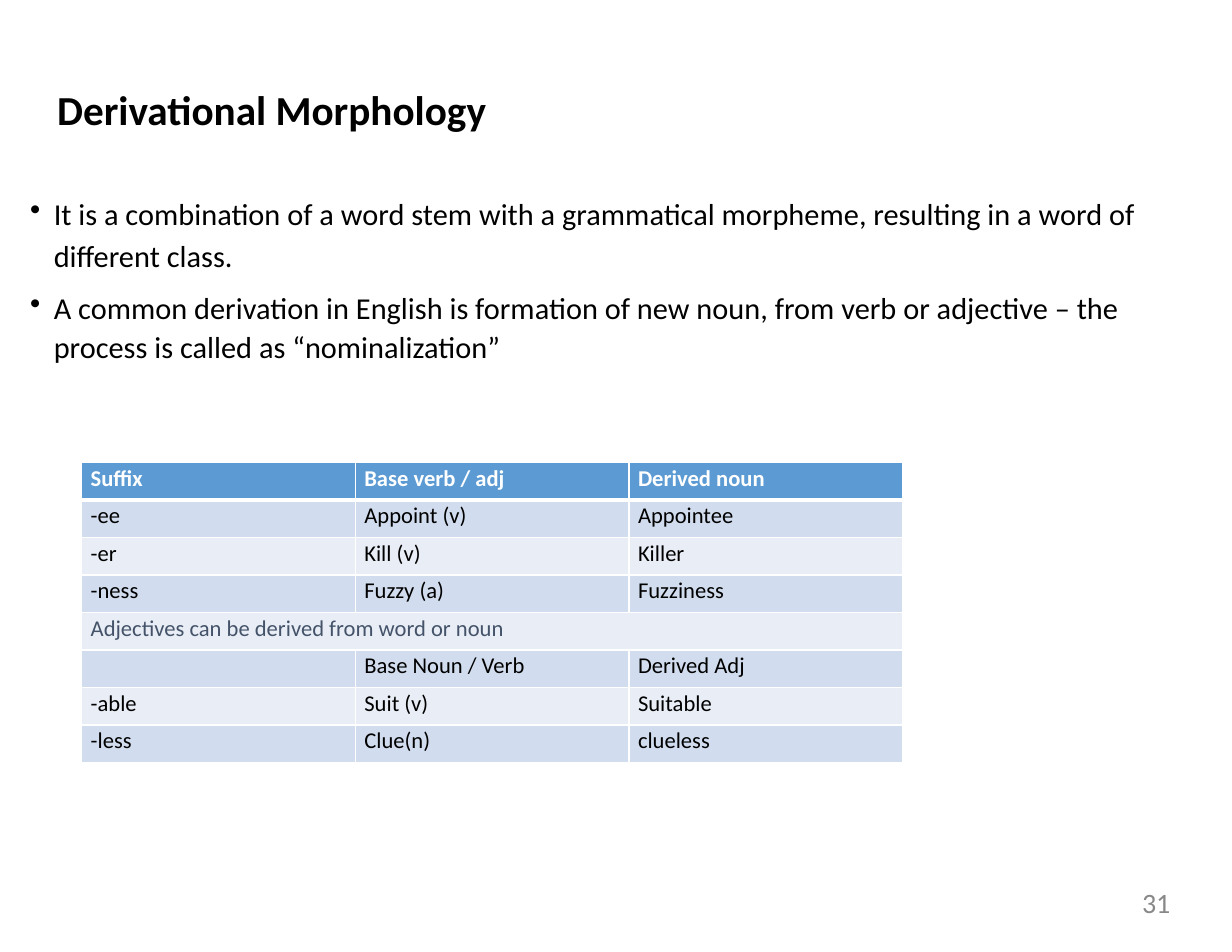
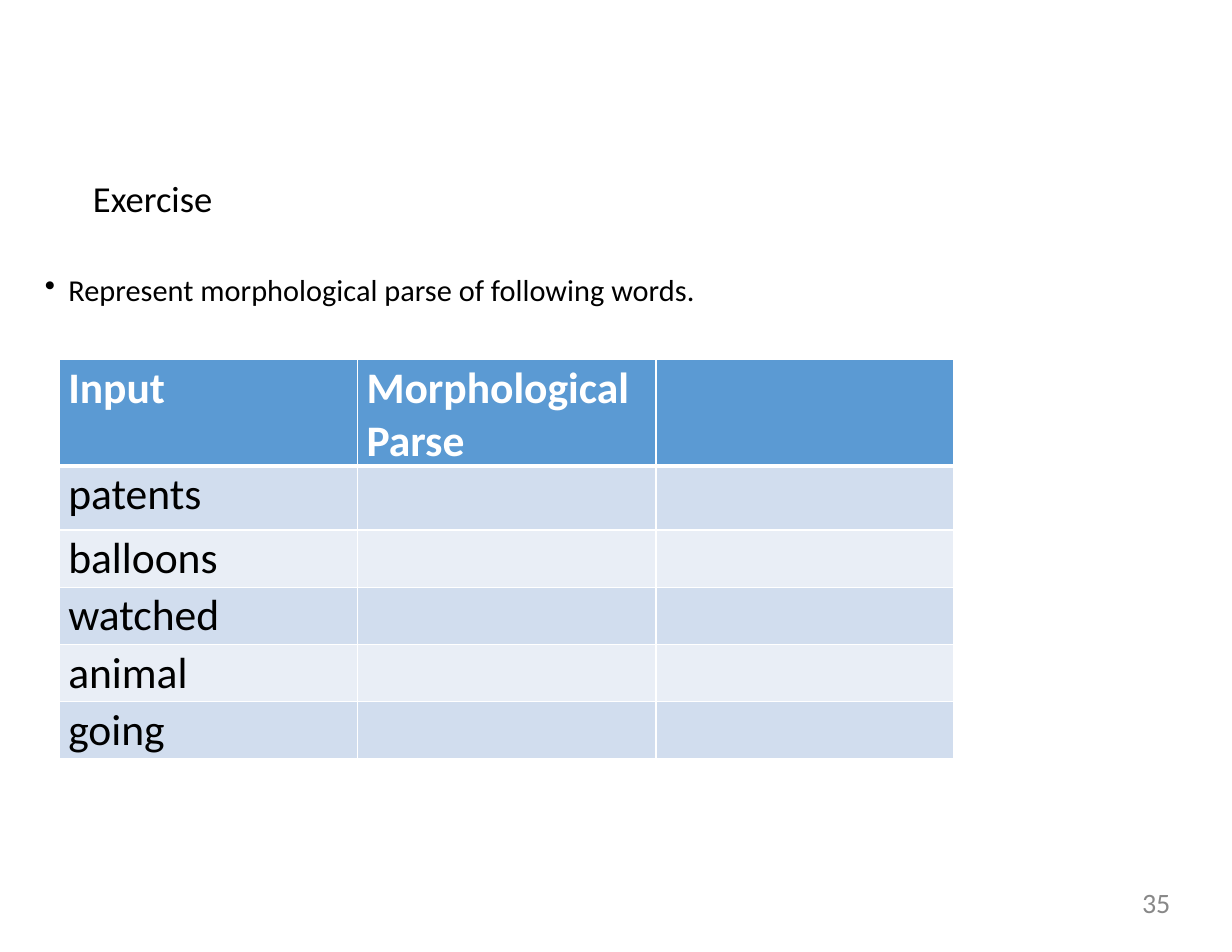
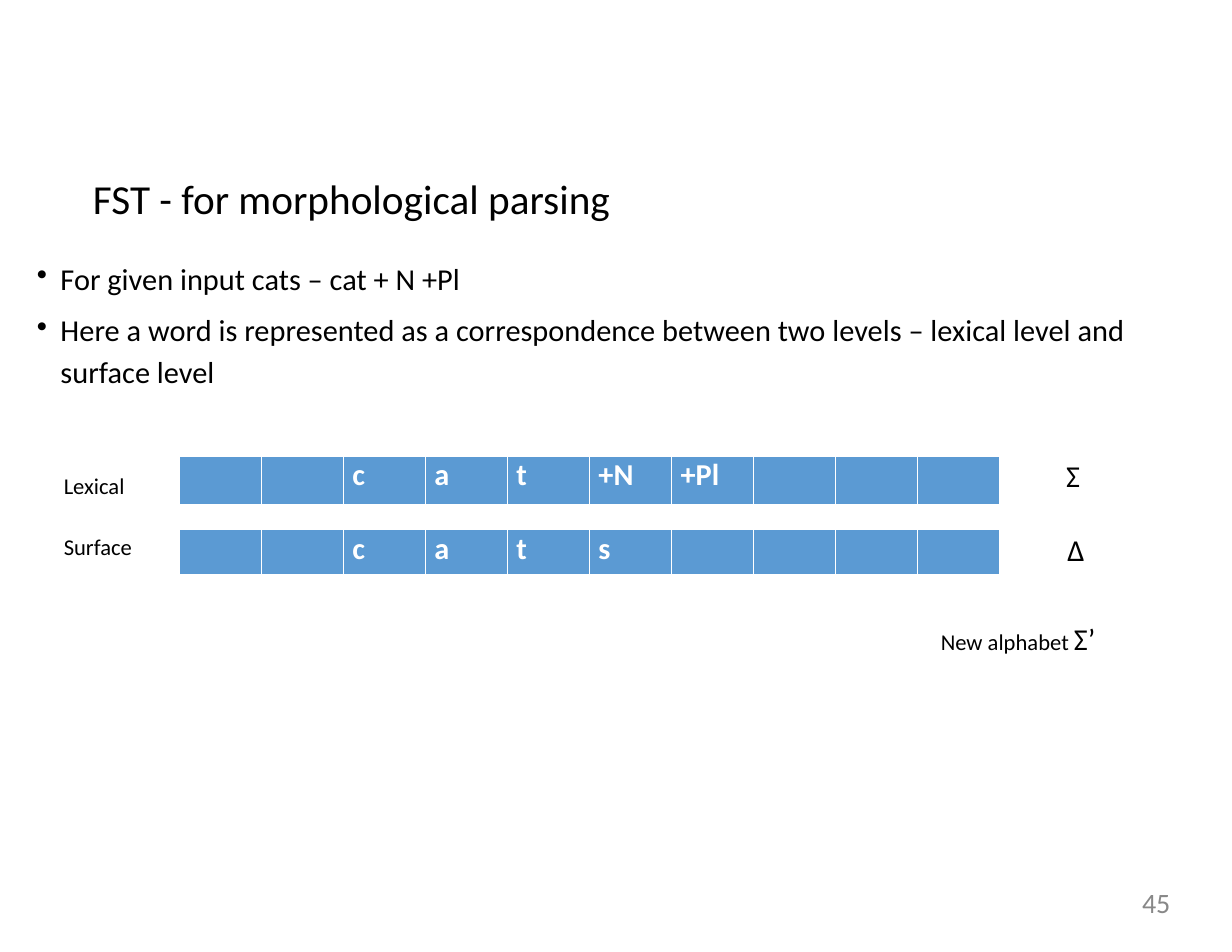
import pptx
import pptx.util
import pptx.dml.color
import pptx.enum.text
import pptx.oxml
import pptx.oxml.ns
import lxml.etree

Inches = pptx.util.Inches
Pt = pptx.util.Pt
Text = pptx.enum.text


class Theme:
    font = "Calibri"
    ink = "000000"
    white = "FFFFFF"
    muted = "445369"
    gray = "888888"
    header = "5B9AD3"
    bands = ("D1DDEE", "E9EEF6")
    title = 26.5
    subtitle = 23.5
    body = 19.5
    small = 14.5
    large = 28
    number = 18
    thin = 1
    thick = 3


SPANNING = "Adjectives can be derived from word or noun"
PAGE_NUMBER = (7.92, 7.91, 2.53, 0.42)

SLIDES = [
    {
        "number": "31",
        "title": ("Derivational Morphology", (0.5, 0.74, 6.17, 0.46), Theme.title, True),
        "bullets_at": (0.26, 1.69, 9.95, 1.95),
        "bullets_top": 0.01,
        "bullets": [
            ("It is a combination of a word stem with a grammatical morpheme, "
             "resulting in a word of different class.", 1.14, 0),
            ("A common derivation in English is formation of new noun, from verb or "
             "adjective – the process is called as “nominalization”", 1.08, 8.3),
        ],
        "tables": [{
            "at": (0.73, 4.13, 7.33), "heights": [0.335] * 8, "size": Theme.small, "top": 0.02,
            "rows": [
                ["Suffix", "Base verb / adj", "Derived noun"],
                ["-ee", "Appoint (v)", "Appointee"],
                ["-er", "Kill (v)", "Killer"],
                ["-ness", "Fuzzy (a)", "Fuzziness"],
                [SPANNING],
                ["", "Base Noun / Verb", "Derived Adj"],
                ["-able", "Suit (v)", "Suitable"],
                ["-less", "Clue(n)", "clueless"],
            ],
        }],
        "labels": [],
    },
    {
        "number": "35",
        "title": ("Exercise", (0.82, 1.56, 1.1, 0.42), Theme.subtitle, False),
        "bullets_at": (0.39, 2.41, 5.84, 0.35),
        "bullets_top": 0.01,
        "bullets": [("Represent morphological parse of following words.", 1, 0)],
        "tables": [{
            "at": (0.53, 3.21, 7.99), "heights": [0.95, 0.57] + [0.51] * 4,
            "size": Theme.large, "top": 0.02,
            "rows": [["Input", "Morphological Parse", ""]] + [
                [word, "", ""] for word in ("patents", "balloons", "watched", "animal", "going")
            ],
        }],
        "labels": [],
    },
    {
        "number": "45",
        "title": ("FST - for morphological parsing", (0.82, 1.54, 5.68, 0.47), Theme.title, False),
        "bullets_at": (0.32, 2.21, 9.79, 1.15),
        "bullets_top": 0.11,
        "bullets": [
            ("For given input cats – cat + N +Pl", 1, 0),
            ("Here a word is represented as a correspondence between two levels – "
             "lexical level and surface level", 1.14, 6.6),
        ],
        "tables": [
            {"at": (1.6, 4.07, 7.33), "heights": [0.45], "size": Theme.body, "top": 0.01,
             "rows": [["", "", "c", "a", "t", "+N", "+Pl", "", "", ""]]},
            {"at": (1.6, 4.73, 7.33), "heights": [0.41], "size": Theme.body, "top": 0.01,
             "rows": [["", "", "c", "a", "t", "s", "", "", "", ""]]},
        ],
        "labels": [
            ((0.56, 4.2, 0.57, 0.27), [("Lexical", Theme.small)]),
            ((0.56, 4.75, 0.64, 0.27), [("Surface", Theme.small)]),
            ((9.52, 4.73, 0.18, 0.35), [("Δ", Theme.body)]),
            ((9.51, 4.07, 0.15, 0.35), [("Σ", Theme.body)]),
            ((8.39, 5.53, 1.43, 0.35), [("New alphabet ", Theme.small), ("Σ’", Theme.body)]),
        ],
    },
]


def add_run(p, text, size, color=Theme.ink, bold=False):
    r = p.add_run()
    r.text = text
    r.font.name = Theme.font
    r.font.size = Pt(size)
    r.font.bold = bold
    r.font.color.rgb = pptx.dml.color.RGBColor.from_string(color)


def indent(p, left, first=0):
    pPr = p._p.get_or_add_pPr()
    pPr.set("marL", str(Inches(left)))
    pPr.set("indent", str(Inches(first)))
    return pPr


def sub(parent, tag, **attrs):
    return lxml.etree.SubElement(parent, pptx.oxml.ns.qn(tag), attrs)


def frame(sp, top=0.01):
    tf = sp.text_frame
    tf.margin_left = tf.margin_right = tf.margin_bottom = 0
    tf.margin_top = Inches(top)
    tf.word_wrap = True
    tf.auto_size = Text.MSO_AUTO_SIZE.SHAPE_TO_FIT_TEXT
    tf.vertical_anchor = Text.MSO_ANCHOR.TOP
    return tf


def add_box(slide, at, top=0.01):
    return frame(slide.shapes.add_textbox(*map(Inches, at)), top)


def add_title(slide, text, at, size, bold):
    sp = slide.shapes.title
    sp.left, sp.top, sp.width, sp.height = map(Inches, at)
    p = frame(sp).paragraphs[0]
    p.alignment = Text.PP_ALIGN.LEFT
    indent(p, 0.01)
    add_run(p, text, size, bold=bold)


def add_bullets(slide, at, top, bullets):
    tf = add_box(slide, at, top)
    for i, (text, spacing, before) in enumerate(bullets):
        p = tf.add_paragraph() if i else tf.paragraphs[0]
        pPr = indent(p, 0.22, -0.21)
        sub(sub(pPr, "a:buClr"), "a:srgbClr", val=Theme.ink)
        sub(pPr, "a:buChar", char="•")
        p.line_spacing = spacing
        if before:
            p.space_before = Pt(before)
        add_run(p, text, Theme.body)


def set_borders(cell, row):
    tcPr = cell._tc.get_or_add_tcPr()
    widths = {
        "L": Theme.thin,
        "R": Theme.thin,
        "T": Theme.thick if row == 1 else Theme.thin,
        "B": Theme.thick if row == 0 else Theme.thin,
    }
    for side, width in widths.items():
        ln = sub(tcPr, "a:ln" + side, w=str(Pt(width)))
        sub(sub(ln, "a:solidFill"), "a:srgbClr", val=Theme.white)


def add_table(slide, at, heights, size, top, rows):
    n = len(rows[0])
    x, y, width = at
    shape = slide.shapes.add_table(
        len(rows), n, Inches(x), Inches(y), Inches(width), Inches(sum(heights)))
    table = shape.table
    table.horz_banding = False
    for col in table.columns:
        col.width = Inches(width / n)
    for i, values in enumerate(rows):
        table.rows[i].height = Inches(heights[i])
        fill = Theme.bands[(i - 1) % 2] if i else Theme.header
        for j in range(n):
            cell = table.cell(i, j)
            cell.margin_left = cell.margin_right = cell.margin_bottom = 0
            cell.margin_top = Inches(top)
            set_borders(cell, i)
            cell.fill.solid()
            cell.fill.fore_color.rgb = pptx.dml.color.RGBColor.from_string(fill)
            if j < len(values) and values[j]:
                p = cell.text_frame.paragraphs[0]
                indent(p, 0.08)
                color = Theme.white if i == 0 else Theme.muted if len(values) == 1 else Theme.ink
                add_run(p, values[j], size, color, i == 0)
        if len(values) == 1:
            table.cell(i, 0).merge(table.cell(i, n - 1))


def add_label(slide, at, runs):
    p = add_box(slide, at).paragraphs[0]
    indent(p, 0.01)
    for text, size in runs:
        add_run(p, text, size)


def add_page_number(slide, number):
    p = add_box(slide, PAGE_NUMBER, 0).paragraphs[0]
    p.alignment = Text.PP_ALIGN.RIGHT
    add_run(p, number, Theme.number, Theme.gray)


def main():
    prs = pptx.Presentation()
    prs.slide_width, prs.slide_height = Inches(11), Inches(8.5)
    for content in SLIDES:
        slide = prs.slides.add_slide(prs.slide_layouts[5])
        add_title(slide, *content["title"])
        add_bullets(slide, content["bullets_at"], content["bullets_top"], content["bullets"])
        for table in content["tables"]:
            add_table(slide, **table)
        for at, runs in content["labels"]:
            add_label(slide, at, runs)
        add_page_number(slide, content["number"])
    prs.save("out.pptx")


if __name__ == "__main__":
    main()
